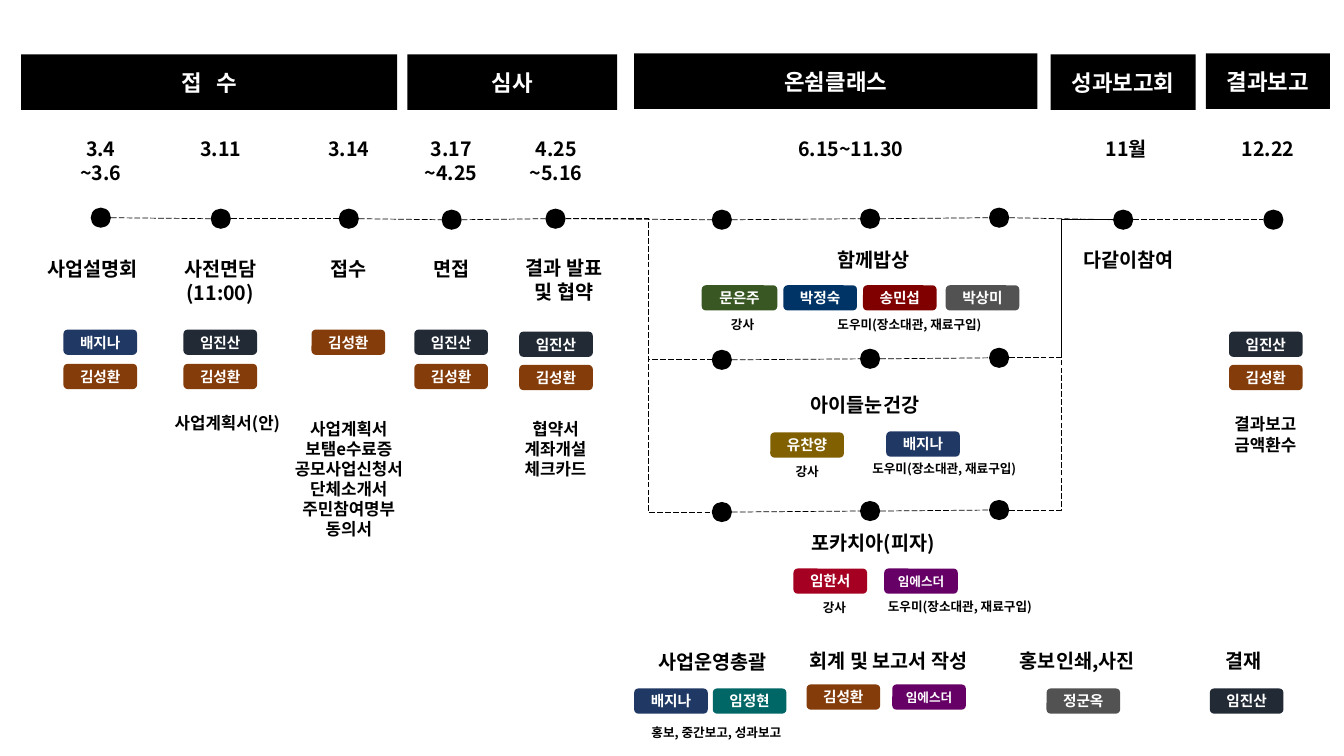
"""Build a one-slide project schedule with phases, dated steps and staff in charge."""
from itertools import pairwise
from lxml import etree
from pptx import Presentation
from pptx.dml.color import RGBColor
from pptx.enum.dml import MSO_LINE
from pptx.enum.shapes import MSO_CONNECTOR, MSO_SHAPE
from pptx.enum.text import MSO_ANCHOR, MSO_AUTO_SIZE, PP_ALIGN
from pptx.oxml.ns import qn
from pptx.util import Inches, Pt

RECT, PILL, DOT = MSO_SHAPE.RECTANGLE, MSO_SHAPE.ROUNDED_RECTANGLE, MSO_SHAPE.OVAL
STRAIGHT, ELBOW = MSO_CONNECTOR.STRAIGHT, MSO_CONNECTOR.ELBOW
LEFT, CENTER, MIDDLE = PP_ALIGN.LEFT, PP_ALIGN.CENTER, MSO_ANCHOR.MIDDLE
FIT_TEXT, LONG_DASH = MSO_AUTO_SIZE.SHAPE_TO_FIT_TEXT, MSO_LINE.LONG_DASH
FONT = "Noto Sans CJK KR"
BLACK, WHITE = "000000", "FFFFFF"
DOT_SIZE = 0.2
BRANCH_X = 6.43

prs = Presentation()
prs.slide_width, prs.slide_height = Inches(13.33), Inches(7.5)
slide = prs.slides.add_slide(prs.slide_layouts[6])


def add_block(kind, left, top, width, height, fill):
    block = slide.shapes.add_shape(kind, Inches(left), Inches(top), Inches(width), Inches(height))
    block.shadow.inherit = False
    block.fill.solid()
    block.fill.fore_color.rgb = RGBColor.from_string(fill)
    block.line.fill.background()
    block.text_frame.vertical_anchor = MIDDLE
    return block.text_frame


def write_text(frame, text, size, color, align=CENTER, gap=0):
    frame.word_wrap = True
    for row, content in enumerate(text.split("\n")):
        paragraph = frame.paragraphs[0] if row == 0 else frame.add_paragraph()
        paragraph.alignment = align
        for part, line in enumerate(content.split("\v")):
            if part:
                paragraph.add_line_break()
            run = paragraph.add_run()
            run.text = line
            run.font.size, run.font.bold = Pt(size), True
            run.font.color.rgb = RGBColor.from_string(color)
            run.font.name = FONT
            properties = run._r.get_or_add_rPr()
            etree.SubElement(properties, qn("a:ea")).set("typeface", FONT)
            if gap:
                properties.set("spc", str(gap))


phases = [
    ("접 수", 0.21, 0.54, 3.73, 360),
    ("심사", 4.04, 0.54, 2.08, 0),
    ("온쉼클래스", 6.29, 0.53, 4, 0),
    ("성과보고회", 10.42, 0.54, 1.44, 0),
    ("결과보고", 11.96, 0.53, 1.23, 0),
]
for phase, left, top, width, gap in phases:
    write_text(add_block(RECT, left, top, width, 0.55, BLACK), phase, 16, WHITE, gap=gap)

timeline = [(0.9, 2.06), (2.09, 2.07), (3.36, 2.07), (4.38, 2.08), (5.41, 2.07),
            (7.06, 2.08), (8.53, 2.07), (9.81, 2.06), (11.04, 2.08), (12.53, 2.08)]
class_rows = [[(7.06, top), (8.53, top - 0.01), (9.81, top - 0.02)] for top in (3.47, 4.98)]
announcement, gathering = timeline[4], timeline[8]

links = []
for stops in [timeline, *class_rows]:
    for left, top in stops:
        add_block(DOT, left, top, DOT_SIZE, DOT_SIZE, BLACK)
    links += [(STRAIGHT, start, end) for start, end in pairwise(stops)]
for stops in class_rows:
    links += [(ELBOW, announcement, stops[0]), (ELBOW, stops[-1], gathering)]

for kind, start, end in links:
    start_x, middle = start[0] + DOT_SIZE, DOT_SIZE / 2
    link = slide.shapes.add_connector(kind, Inches(start_x), Inches(start[1] + middle),
                                      Inches(end[0]), Inches(end[1] + middle))
    link.line.color.rgb = RGBColor.from_string(BLACK)
    link.line.width = Pt(0.5)
    link.line.dash_style = LONG_DASH
    etree.SubElement(link._element.spPr, qn("a:effectLst"))
    if kind == ELBOW and start == announcement:
        bend = round((BRANCH_X - start_x) / (end[0] - start_x) * 100000)
        guides = link._element.spPr.find(qn("a:prstGeom")).find(qn("a:avLst"))
        etree.SubElement(guides, qn("a:gd"), name="adj1", fmla=f"val {bend}")

dates = [
    ("3.4\v~3.6", 0.68, 1.31, 0.64, 0.57),
    ("3.11", 1.87, 1.31, 0.64, 0.34),
    ("3.14", 3.14, 1.31, 0.64, 0.34),
    ("3.17\v~4.25", 4.1, 1.31, 0.75, 0.57),
    ("4.25\v~5.16", 5.14, 1.31, 0.75, 0.57),
    ("6.15~11.30", 7.64, 1.31, 1.6, 0.34),
    ("11월", 10.85, 1.31, 0.64, 0.34),
    ("12.22", 12.2, 1.31, 0.75, 0.34),
]
steps = [
    ("사업설명회", 0.37, 2.5, 1.26, 0.34),
    ("사전면담\v(11:00)", 1.66, 2.5, 1.05, 0.57),
    ("접수", 3.08, 2.5, 0.75, 0.34),
    ("면접", 4.1, 2.5, 0.75, 0.34),
    ("결과 발표 및 협약", 5.07, 2.49, 1.05, 0.57),
    ("함께밥상", 8.14, 2.41, 1.05, 0.34),
    ("아이들눈건강", 7.78, 3.85, 1.6, 0.34),
    ("포카치아(피자)", 7.86, 5.22, 1.6, 0.34),
    ("다같이참여", 10.59, 2.41, 1.2, 0.34),
]
duties = [
    ("사업운영총괄", 6.34, 6.4, 1.45, 0.34),
    ("회계 및 보고서 작성", 7.83, 6.39, 1.97, 0.34),
    ("홍보인쇄,사진", 9.89, 6.39, 1.59, 0.34),
    ("결재", 11.92, 6.39, 0.83, 0.34),
]
documents = [
    ("사업계획서(안)", 1.58, 4.05, 1.35, 0.3),
    ("사업계획서\v보탬e수료증\v공모사업신청서\v단체소개서\v주민참여명부\v동의서", 2.7, 4.1, 1.52, 1.31),
    ("협약서\v계좌개설\v체크카드", 5.07, 4.1, 0.88, 0.71),
    ("결과보고\n금액환수", 12.11, 4.06, 0.88, 0.5),
]
teacher, helper = "강사", "도우미(장소대관, 재료구입)"
roles = [
    (teacher, 7.11, 3.09, 0.51, 0.25),
    (helper, 7.83, 3.09, 2.38, 0.25),
    (teacher, 7.75, 4.55, 0.51, 0.25),
    (helper, 8.44, 4.52, 1.85, 0.25),
    (teacher, 8.02, 5.9, 0.51, 0.25),
    (helper, 8.62, 5.89, 1.8, 0.25),
    ("홍보, 중간보고, 성과보고", 6.29, 7.14, 1.63, 0.25),
]
for size, labels in [(14, dates + steps + duties), (12, documents), (9, roles)]:
    for label, left, top, width, height in labels:
        frame = slide.shapes.add_textbox(Inches(left), Inches(top), Inches(width),
                                         Inches(height)).text_frame
        frame.auto_size = FIT_TEXT
        write_text(frame, label, size, BLACK, LEFT if label == "사업설명회" else CENTER)

staff = {
    "배지나": ("203864", [(0.63, 3.27), (8.79, 4.28), (6.29, 6.83)]),
    "김성환": ("843C0B", [(0.63, 3.61), (1.82, 3.61), (3.09, 3.27), (4.11, 3.61),
                       (5.15, 3.62), (12.19, 3.62), (8, 6.79)]),
    "임진산": ("222A35", [(1.82, 3.27), (4.11, 3.27), (5.15, 3.29), (12.19, 3.29), (12, 6.83)]),
    "문은주": ("385723", [(6.96, 2.83)]),
    "박정숙": ("003366", [(7.77, 2.83)]),
    "송민섭": ("800000", [(8.56, 2.83)]),
    "박상미": ("525252", [(9.38, 2.83)]),
    "유찬양": ("806000", [(7.64, 4.29)]),
    "임한서": ("A50021", [(7.87, 5.64)]),
    "임에스더": ("660066", [(8.77, 5.64), (8.85, 6.79)]),
    "임정현": ("006666", [(7.07, 6.83)]),
    "정군옥": ("525252", [(10.38, 6.83)]),
}
for person, (color, places) in staff.items():
    for left, top in places:
        width = 0.75 if person == "문은주" else 0.73
        write_text(add_block(PILL, left, top, width, 0.25, color), person,
                   9 if len(person) > 3 else 10.5, WHITE)

prs.save("out.pptx")
